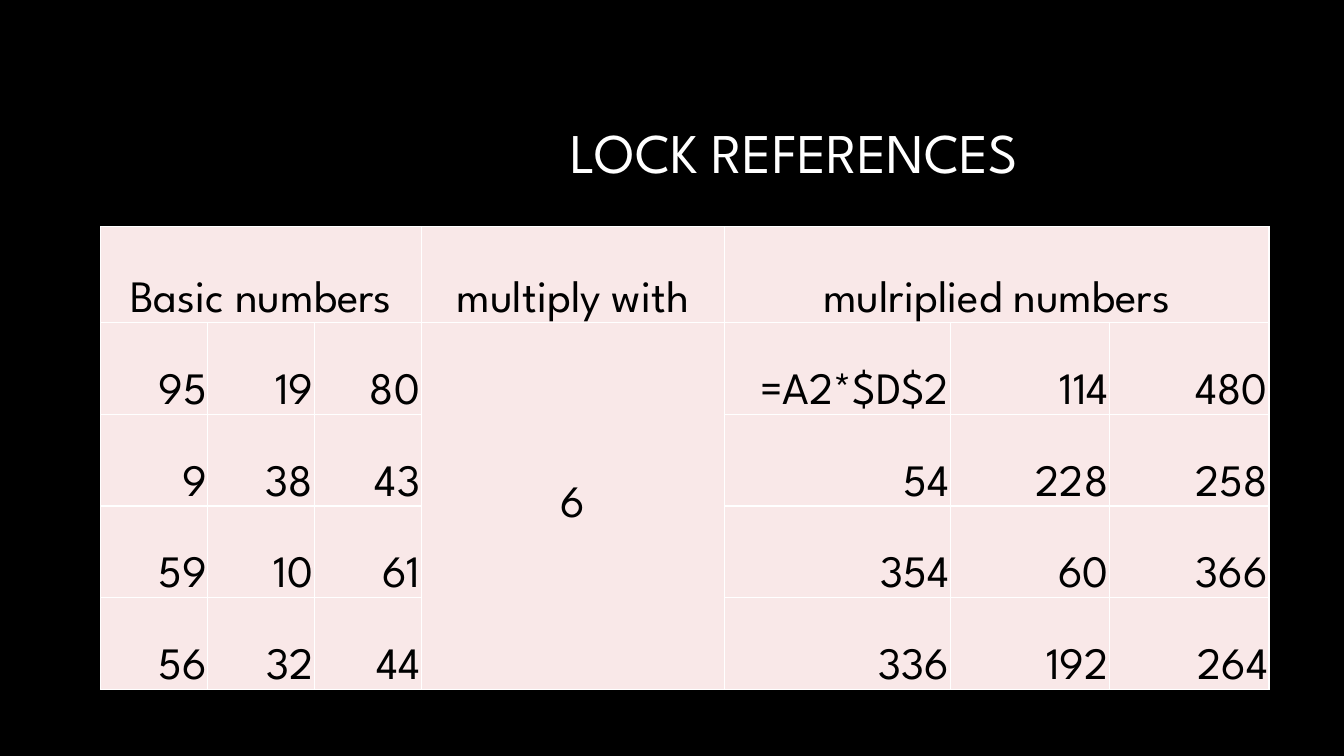
from lxml.etree import SubElement
from pptx import Presentation
from pptx.dml.color import RGBColor
from pptx.enum.text import MSO_ANCHOR, PP_ALIGN
from pptx.oxml.ns import qn
from pptx.util import Inches, Pt

BLACK, WHITE, PINK = "000000", "FFFFFF", "F9E8E8"
FACTOR = 6
BASIC_NUMBERS = [[95, 19, 80], [9, 38, 43], [59, 10, 61], [56, 32, 44]]
COLUMN_WIDTHS = [6.36] * 3 + [18.06, 13.44] + [9.48] * 2
ROW_HEIGHTS = [5.7] + [5.46] * 4
FACTOR_COLUMN = 3


def color(hex_string):
    return RGBColor.from_string(hex_string)


def grid(units):
    """Length of grid units; the slide is 80 columns by 45 rows of squares."""
    return Inches(units / 6)


class SlideBuilder:
    """Holds the style and the current slide."""

    font = "League Spartan"

    def __init__(self, deck):
        self.page = deck.slides.add_slide(deck.slide_layouts[5])
        background = self.page.background.fill
        background.solid()
        background.fore_color.rgb = color(BLACK)

    def format_text(self, frame, size, text_color, alignment):
        para = frame.paragraphs[0]
        para.alignment = alignment
        for span in para.runs:
            span.font.name = self.font
            span.font.size = Pt(size)
            span.font.color.rgb = color(text_color)

    def title(self, text, left, top, width, height):
        box = self.page.shapes.title
        box.left, box.top = grid(left), grid(top)
        box.width, box.height = grid(width), grid(height)
        frame = box.text_frame
        frame.text = text
        frame.vertical_anchor = MSO_ANCHOR.MIDDLE
        frame.paragraphs[0].line_spacing = 0.9
        self.format_text(frame, 40, WHITE, PP_ALIGN.CENTER)

    def table(self, left, top, widths, heights):
        frame = self.page.shapes.add_table(
            len(heights), len(widths), grid(left), grid(top),
            grid(sum(widths)), grid(sum(heights)))
        table = frame.table
        table.first_row = table.horz_banding = False
        for column, width in zip(table.columns, widths):
            column.width = grid(width)
        for row, height in zip(table.rows, heights):
            row.height = grid(height)
        for cell in table.iter_cells():
            self.cell_style(cell)
        return table

    def cell_style(self, cell):
        cell.margin_left = cell.margin_right = cell.margin_top = Inches(0.01)
        cell.margin_bottom = 0
        properties = cell._tc.get_or_add_tcPr()
        for side in ("lnL", "lnR", "lnT", "lnB"):
            line = SubElement(properties, qn(f"a:{side}"), w=str(Pt(1)))
            fill = SubElement(line, qn("a:solidFill"))
            SubElement(fill, qn("a:srgbClr"), val=WHITE)
        cell.fill.solid()
        cell.fill.fore_color.rgb = color(PINK)

    def cell_text(self, cell, text, alignment=PP_ALIGN.RIGHT, anchor=MSO_ANCHOR.BOTTOM):
        cell.text_frame.text = str(text)
        cell.vertical_anchor = anchor
        self.format_text(cell.text_frame, 32, BLACK, alignment)


def main():
    deck = Presentation()
    deck.slide_width, deck.slide_height = grid(80), grid(45)
    builder = SlideBuilder(deck)
    builder.title("LOCK REFERENCES", 19.02, 5.04, 56.52, 8.46)
    table = builder.table(6, 13.5, COLUMN_WIDTHS, ROW_HEIGHTS)

    multiplied = [[number * FACTOR for number in row] for row in BASIC_NUMBERS]
    multiplied[0][0] = "=A2*$D$2"
    for first_column, block in ((0, BASIC_NUMBERS), (FACTOR_COLUMN + 1, multiplied)):
        table.cell(0, first_column).merge(table.cell(0, first_column + 2))
        for row, values in enumerate(block, start=1):
            for column, value in enumerate(values, start=first_column):
                builder.cell_text(table.cell(row, column), value)

    headings = {0: "Basic numbers", 3: "multiply with", 4: "mulriplied numbers"}
    for column, heading in headings.items():
        builder.cell_text(table.cell(0, column), heading, PP_ALIGN.CENTER)

    factor_cell = table.cell(1, FACTOR_COLUMN)
    factor_cell.merge(table.cell(len(BASIC_NUMBERS), FACTOR_COLUMN))
    builder.cell_text(factor_cell, FACTOR, PP_ALIGN.CENTER, MSO_ANCHOR.MIDDLE)
    deck.save("out.pptx")


if __name__ == "__main__":
    main()
